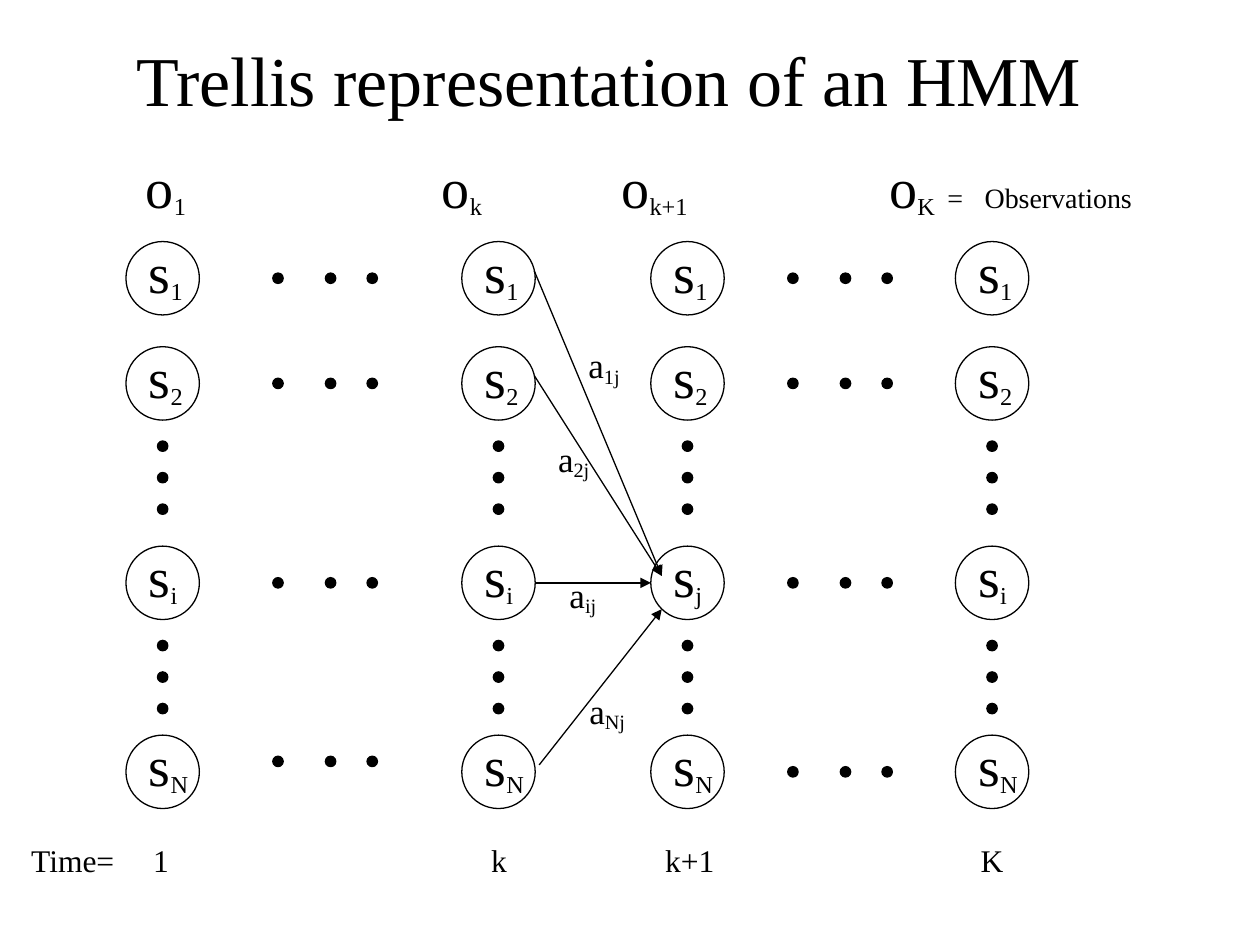
from dataclasses import dataclass

from lxml import etree
from pptx import Presentation
from pptx.dml.color import RGBColor
from pptx.enum import shapes, text
from pptx.oxml import ns
from pptx.util import Cm, Pt


@dataclass(frozen=True)
class Theme:
    ink: RGBColor = RGBColor(0, 0, 0)
    paper: RGBColor = RGBColor(255, 255, 255)
    font: str = "Times New Roman"
    line: float = 0.75
    title: int = 40
    symbol: int = 32
    index: int = 24
    weight: int = 20
    time: int = 18
    note: int = 16


theme = Theme()


def write(frame, runs, tabs=()):
    """Fill a frame with (words, size, is_subscript) runs and tab stops in cm."""
    frame.auto_size = text.MSO_AUTO_SIZE.NONE
    paragraph = frame.paragraphs[0]
    if tabs:
        stops = etree.SubElement(paragraph._p.get_or_add_pPr(), ns.qn("a:tabLst"))
        for stop in tabs:
            etree.SubElement(stops, ns.qn("a:tab"), pos=str(Cm(stop)), algn="l")
    for words, size, is_subscript in runs:
        run = paragraph.add_run()
        run.text = words
        run.font.name = theme.font
        run.font.size = Pt(size)
        run.font.color.rgb = theme.ink
        if is_subscript:
            run.font._element.set("baseline", "-16000")


def add_circle(group, left, top, size, filled):
    circle = group.shapes.add_shape(
        shapes.MSO_SHAPE.OVAL, Cm(left), Cm(top), Cm(size), Cm(size))
    circle.shadow.inherit = False
    circle.line.color.rgb = theme.ink
    circle.line.width = Pt(theme.line)
    if filled:
        circle.fill.solid()
        circle.fill.fore_color.rgb = theme.ink
    else:
        circle.fill.background()


prs = Presentation()
prs.slide_width, prs.slide_height = Cm(25.4), Cm(19.05)
slide = prs.slides.add_slide(prs.slide_layouts[5])
slide.background.fill.solid()
slide.background.fill.fore_color.rgb = theme.paper

title = slide.shapes.title
title.left, title.top, title.width, title.height = Cm(1.48), Cm(0), Cm(21.59), Cm(3.18)
title.text_frame.vertical_anchor = text.MSO_ANCHOR.MIDDLE
title.text_frame.paragraphs[0].alignment = text.PP_ALIGN.CENTER
write(title.text_frame, [("Trellis representation of an HMM", theme.title, False)])

# Trellis grid, in cm
state_size, dot_size = 1.48, 0.21
dot_inset = (state_size - dot_size) / 2
label_shift = 0.21
state_tops = [4.87, 6.99, 11.01, 14.82]
label_widths = [1.25, 1.25, 1.12, 1.35]
columns = [(2.54, "12iN"), (9.31, "12iN"), (13.12, "12jN"), (19.26, "12iN")]

for left, indices in columns:
    column = slide.shapes.add_group_shape()
    for top, width, index in zip(state_tops, label_widths, indices):
        add_circle(column, left, top, state_size, False)
        label = column.shapes.add_textbox(
            Cm(left + label_shift), Cm(top - label_shift), Cm(width), Cm(1.6))
        label.text_frame.word_wrap = False
        write(label.text_frame, [("s", theme.symbol, False), (index, theme.index, True)])
    for first_dot in (8.89, 12.91):
        for step in range(3):
            add_circle(column, left + dot_inset, first_dot + step * dot_inset, dot_size, True)

# Skipped time steps; the last row on the left sits slightly higher
for first_dot, last_row_rise in ((15.88, 0), (5.5, 0.21)):
    for top in state_tops:
        rise = last_row_rise if top == state_tops[-1] else 0
        ellipsis = slide.shapes.add_group_shape()
        for offset in (0, 1.06, 1.9):
            add_circle(ellipsis, first_dot + offset, top + dot_inset - rise, dot_size, True)

# Transitions into state j: start, end, weight index, weight box
transitions = [
    ((10.77, 5.46), (13.34, 11.61), "1j", (11.61, 6.81, 1.19)),
    ((10.77, 7.57), (13.34, 11.61), "2j", (11.0, 8.69, 1.19)),
    ((10.8, 11.75), (13.12, 11.75), "ij", (11.23, 11.43, 1.09)),
    ((10.87, 15.42), (13.34, 12.28), "Nj", (11.63, 13.77, 1.3)),
]
for start, end, index, (left, top, width) in transitions:
    arrow = slide.shapes.add_connector(
        shapes.MSO_CONNECTOR.STRAIGHT, *(Cm(value) for value in start + end))
    arrow.line.color.rgb = theme.ink
    arrow.line.width = Pt(theme.line)
    etree.SubElement(arrow.line._get_or_add_ln(), ns.qn("a:tailEnd"), type="triangle")
    etree.SubElement(arrow._element.spPr, ns.qn("a:effectLst"))
    weight = slide.shapes.add_textbox(Cm(left), Cm(top), Cm(width), Cm(1.1))
    weight.text_frame.word_wrap = False
    write(weight.text_frame, [("a", theme.weight, False), (index, theme.weight, True)])

times = slide.shapes.add_textbox(Cm(0.38), Cm(16.82), Cm(20.17), Cm(1.02))
times.text_frame.word_wrap = True
write(times.text_frame, [("Time=\t1\tk\tk+1\tK", theme.time, False)],
      tabs=(2.46, 9.27, 12.78, 19.14))

observations = slide.shapes.add_textbox(Cm(2.12), Cm(2.96), Cm(23.28), Cm(1.6))
observations.text_frame.word_wrap = True
observed = []
for index in ("1", "k", "k+1", "K"):
    observed += [("\t", theme.note, False), ("o", theme.symbol, False),
                 (index, theme.index, True)]
observed.append(("\t=\tObservations", theme.note, False))
write(observations.text_frame, observed, tabs=(0.57, 6.54, 10.16, 15.56, 16.73, 17.48))

prs.save("out.pptx")
